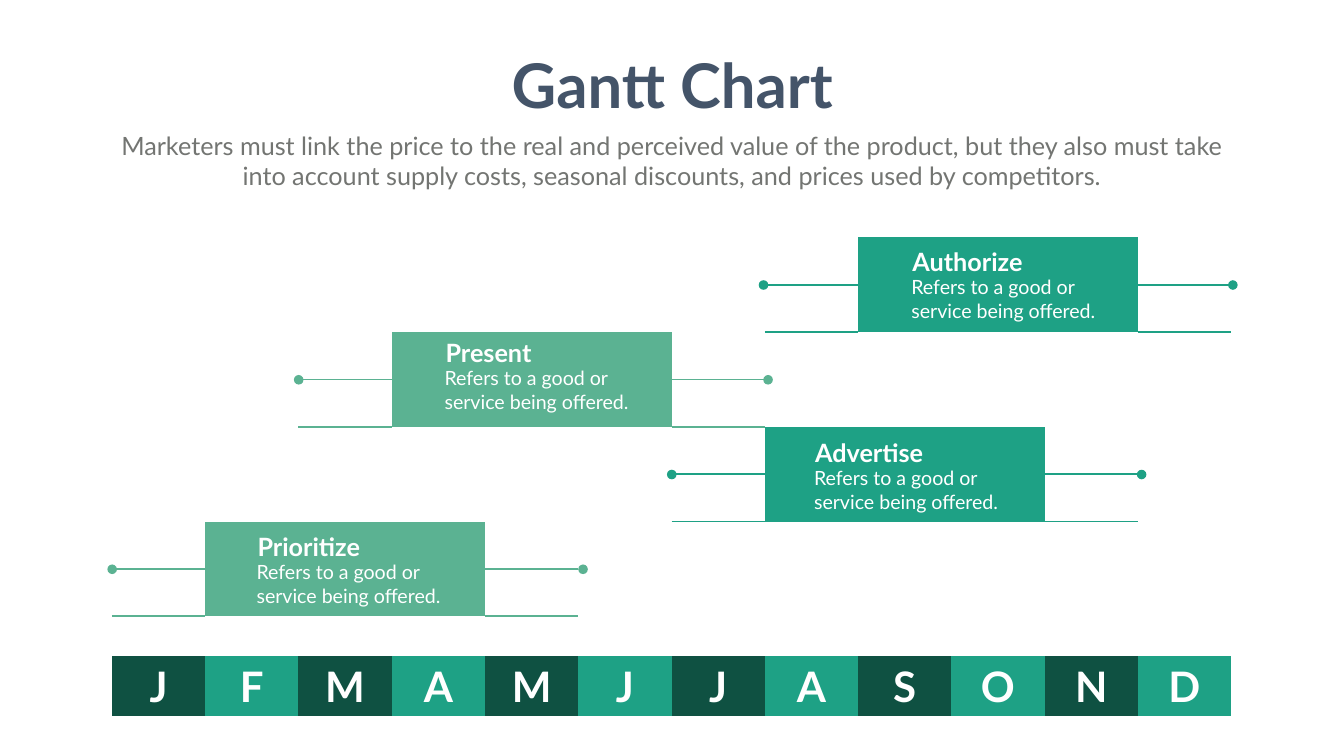
from dataclasses import dataclass

from lxml import etree
from pptx import Presentation
from pptx.dml.color import RGBColor
from pptx.enum.shapes import MSO_SHAPE
from pptx.enum.text import MSO_ANCHOR, MSO_AUTO_SIZE, PP_ALIGN
from pptx.oxml.ns import qn
from pptx.util import Emu, Pt

ELLIPSE = MSO_SHAPE.OVAL
TOP, MIDDLE = MSO_ANCHOR.TOP, MSO_ANCHOR.MIDDLE
LEFT, CENTER = PP_ALIGN.LEFT, PP_ALIGN.CENTER
NO_AUTOFIT = MSO_AUTO_SIZE.NONE

EMU_PER_PX = 9144  # 100 px to the inch
COLORS = {
    "title": "445469",
    "body": "737572",
    "white": "FFFFFF",
    "dark": "0F5142",
    "green": "1EA185",
    "light": "5BB292",
}
FONT = "Lato"
PLAIN_TABLE_STYLE = "{2D5ABB26-0587-4C30-8999-92F81FD0307C}"

# Calendar grid
GRID_LEFT, GRID_TOP = 222, 471
COLUMN_WIDTH, TASK_ROW_HEIGHT = 185, 94
GAP_HEIGHT, MONTH_HEIGHT = 78, 120
MONTHS = "JFMAMJJASOND"
BAR_COLUMNS, BAR_ROWS = 3, 2
DOT_SIZE = 19
DESCRIPTION = "Refers to a good or service being offered."


@dataclass(frozen=True)
class TextFormat:
    size: int
    color: str
    bold: bool = False
    align: PP_ALIGN = LEFT


@dataclass(frozen=True)
class Task:
    name: str
    color: str
    column: int  # first column of the bar
    label_left: int
    label_top: int
    start_x: int  # centres of the end dots
    end_x: int


TITLE = TextFormat(88, "title", True, CENTER)
SUMMARY = TextFormat(36, "body", False, CENTER)
TASK_NAME = TextFormat(36, "white", True)
TASK_DETAIL = TextFormat(28, "white")
MONTH = TextFormat(60, "white", True, CENTER)

TASKS = [
    Task("Authorize", "green", 8, 1800, 484, 1514, 2445),
    Task("Present", "light", 3, 874, 665, 592, 1523),
    Task("Advertise", "green", 7, 1607, 863, 1332, 2264),
    Task("Prioritize", "light", 1, 501, 1049, 222, 1156),
]


def px(length: int) -> Emu:
    return Emu(length * EMU_PER_PX)


def color(name: str) -> RGBColor:
    return RGBColor.from_string(COLORS[name])


def write(frame, text: str, style: TextFormat) -> None:
    frame.text = text
    paragraph = frame.paragraphs[0]
    paragraph.alignment = style.align
    paragraph.space_before = Pt(0)
    font = paragraph.runs[0].font
    values = {"name": FONT, "size": Pt(style.size), "bold": style.bold}
    for attribute, value in values.items():
        setattr(font, attribute, value)
    font.color.rgb = color(style.color)


def fill_placeholder(holder, box: tuple, text: str, style: TextFormat, wrap: bool) -> None:
    for attribute, length in zip(("left", "top", "width", "height"), box):
        setattr(holder, attribute, px(length))
    frame = holder.text_frame
    values = {"word_wrap": wrap, "auto_size": NO_AUTOFIT, "vertical_anchor": TOP}
    for attribute, value in values.items():
        setattr(frame, attribute, value)
    write(frame, text, style)


def add_text(slide, box: tuple, text: str, style: TextFormat) -> None:
    frame = slide.shapes.add_textbox(*map(px, box)).text_frame
    frame.word_wrap = True
    write(frame, text, style)


def add_border(cell, side: str, color_name: str) -> None:
    line = etree.Element(qn(f"a:{side}"), w=str(Pt(3)))
    solid = etree.SubElement(line, qn("a:solidFill"))
    etree.SubElement(solid, qn("a:srgbClr"), val=COLORS[color_name])
    cell._tc.get_or_add_tcPr().insert(0, line)


def fill_cell(cell, color_name: str) -> None:
    cell.fill.solid()
    cell.fill.fore_color.rgb = color(color_name)


def add_calendar(slide):
    heights = [TASK_ROW_HEIGHT] * (BAR_ROWS * len(TASKS)) + [GAP_HEIGHT, MONTH_HEIGHT]
    box = (GRID_LEFT, GRID_TOP, COLUMN_WIDTH * len(MONTHS), sum(heights))
    table = slide.shapes.add_table(len(heights), len(MONTHS), *map(px, box)).table
    table.first_row = table.horz_banding = False
    table._tbl.tblPr.find(qn("a:tableStyleId")).text = PLAIN_TABLE_STYLE
    for column in table.columns:
        column.width = px(COLUMN_WIDTH)
    for row, height in zip(table.rows, heights):
        row.height = px(height)
    for cell in table.iter_cells():
        cell.fill.background()

    # Month row
    for index, letter in enumerate(MONTHS):
        cell = table.cell(len(heights) - 1, index)
        cell.vertical_anchor = MIDDLE
        fill_cell(cell, "green" if index % 2 else "dark")
        write(cell.text_frame, letter, MONTH)
    return table


def add_bar(table, task: Task, row: int) -> None:
    last_column = task.column + BAR_COLUMNS - 1
    bar = table.cell(row, task.column)
    bar.merge(table.cell(row + BAR_ROWS - 1, last_column))
    fill_cell(bar, task.color)
    # Lines on both sides lie on the border between the two rows
    for column in (task.column - 1, last_column + 1):
        add_border(table.cell(row, column), "lnB", task.color)
        add_border(table.cell(row + 1, column), "lnT", task.color)


def add_label(slide, task: Task) -> None:
    left, top = task.label_left, task.label_top
    add_text(slide, (left - 2, top + 57, 392, 104), DESCRIPTION, TASK_DETAIL)
    add_text(slide, (left, top, 241, 71), task.name, TASK_NAME)


def add_dots(slide, task: Task, row: int) -> None:
    top = GRID_TOP + (row + 1) * TASK_ROW_HEIGHT - DOT_SIZE // 2
    for center in (task.start_x, task.end_x):
        box = (center - DOT_SIZE // 2, top, DOT_SIZE, DOT_SIZE)
        dot = slide.shapes.add_shape(ELLIPSE, *map(px, box))
        dot.shadow.inherit = False
        dot.fill.solid()
        dot.fill.fore_color.rgb = color(task.color)
        dot.line.fill.background()


def main() -> None:
    deck = Presentation()
    deck.slide_width, deck.slide_height = px(2666), px(1500)
    slide = deck.slides.add_slide(deck.slide_layouts[0])

    # Heading
    fill_placeholder(slide.shapes.title, (997, 88, 673, 158), "Gantt Chart", TITLE, False)
    fill_placeholder(
        slide.placeholders[1],
        (222, 254, 2221, 131),
        "Marketers must link the price to the real and perceived value of the product, "
        "but they also must take into account supply costs, seasonal discounts, "
        "and prices used by competitors.",
        SUMMARY,
        True,
    )

    # Chart
    calendar = add_calendar(slide)
    for index, task in enumerate(TASKS):
        row = index * BAR_ROWS
        add_bar(calendar, task, row)
        add_label(slide, task)
        add_dots(slide, task, row)

    deck.save("out.pptx")


if __name__ == "__main__":
    main()
